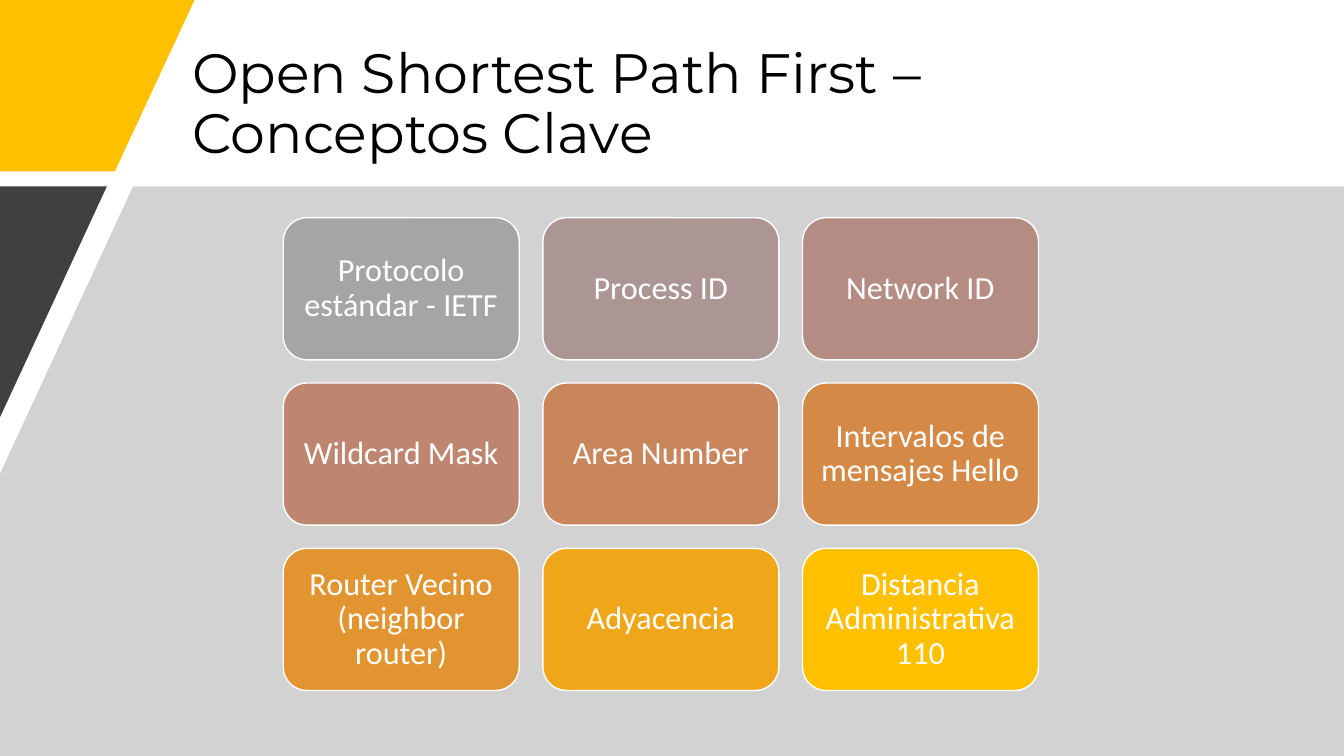
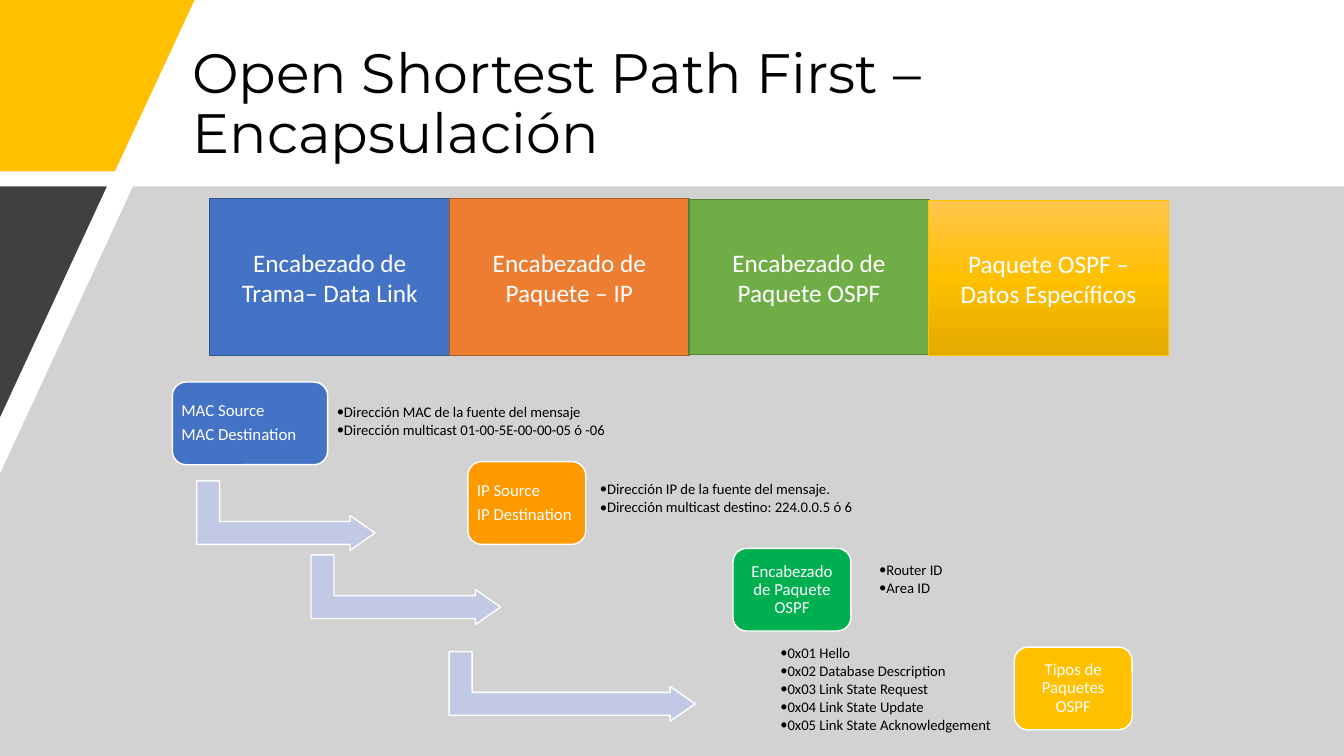
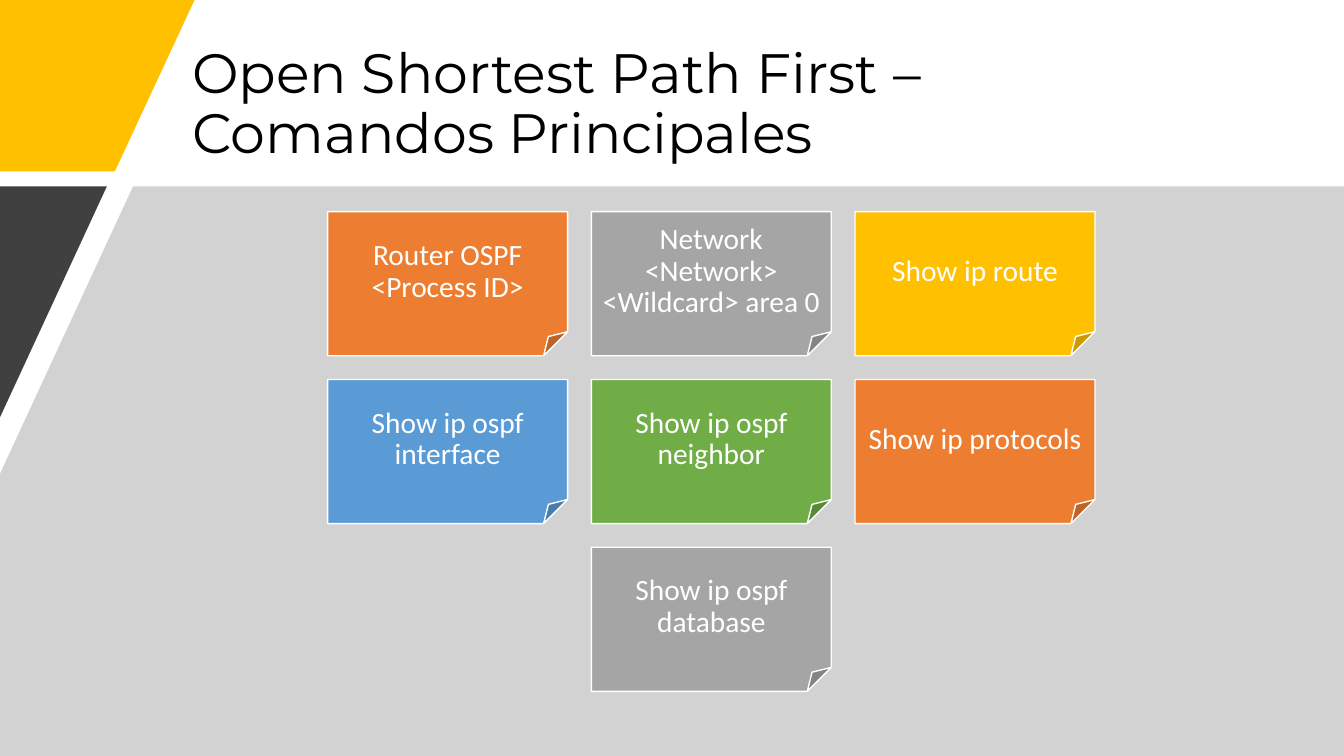
import copy
import pptx
import pptx.util
import pptx.dml.color
import pptx.enum.shapes
import pptx.enum.text
import pptx.oxml.ns
import lxml.etree

Inches, Pt = pptx.util.Inches, pptx.util.Pt
KIND = pptx.enum.shapes.MSO_SHAPE
ALIGN = pptx.enum.text.PP_ALIGN
qn = pptx.oxml.ns.qn

# Shared look
WHITE, BLACK, GOLD = "FFFFFF", "000000", "FFC000"
TOPIC = "Open Shortest Path First – "
BANDS = [  # colour, opacity in percent, corners
    (GOLD, 100, [(0, 0), (1.93, 0), (1.14, 1.7), (0, 1.7)]),
    ("A6A6A6", 50, [(1.32, 1.85), (13.33, 1.85), (13.33, 7.5), (0, 7.5), (0, 4.7)]),
    ("404040", 100, [(0, 1.85), (1.06, 1.85), (0, 4.14)]),
]

# Slide 1: key concepts
IDEAS = [
    ("Protocolo estándar - IETF", "A5A5A5"),
    ("Process ID", "AC9694"),
    ("Network ID", "B48C83"),
    ("Wildcard Mask", "BE8670"),
    ("Area Number", "C9855C"),
    ("Intervalos de mensajes Hello", "D48947"),
    ("Router Vecino (neighbor router)", "E19430"),
    ("Adyacencia", "F0A619"),
    ("Distancia Administrativa 110", GOLD),
]

# Slide 2: encapsulation
HEADS = [  # text, fill, line, line width, top, height
    ("Encabezado de Trama– Data Link", "4472C4", "325491", 1, 1.97, 1.56),
    ("Encabezado de Paquete – IP", "ED7D31", "AF5C24", 1, 1.97, 1.56),
    ("Encabezado de Paquete OSPF", "70AD47", "538035", 1, 1.98, 1.54),
    ("Paquete OSPF – Datos Específicos", GOLD, GOLD, 0.5, 1.99, 1.54),
]
BLEND = [(0, "FFC64B"), (0.5, GOLD), (1, "E3AB00")]
ARROWS = [(2.49, 4.23, 1.77), (3.68, 4.91, 1.88), (5.33, 5.59, 2.44)]
STEPS = [  # lines, fill, alignment, card left, top, width
    (["MAC Source", "MAC Destination"], "4472C4", ALIGN.LEFT, 1.71, 3.79, 1.54),
    (["IP Source", "IP Destination"], "FF9900", ALIGN.LEFT, 4.64, 4.58, 1.17),
    (["Encabezado de Paquete OSPF"], "00B050", ALIGN.CENTER, 7.27, 5.44, 1.17),
    (["Tipos de Paquetes OSPF"], GOLD, ALIGN.CENTER, 10.06, 6.42, 1.17),
]
NOTES = [  # lines, left, top, width
    (["Dirección MAC de la fuente del mensaje",
      "Dirección multicast 01-00-5E-00-00-05 ó -06"], 3.29, 3.85, 3.51),
    (["Dirección IP de la fuente del mensaje.",
      "Dirección multicast destino: 224.0.0.5 ó 6"], 5.9, 4.62, 3.31),
    (["Router ID", "Area ID"], 8.67, 5.42, 0.85),
    (["0x01 Hello", "0x02 Database Description", "0x03 Link State Request",
      "0x04 Link State Update", "0x05 Link State Acknowledgement"], 7.69, 6.51, 2.7),
]

# Slide 3: main commands, with the grid cell of each
ORDERS = [
    ("Router OSPF <Process ID>", "ED7D31", 0),
    ("Network <Network> <Wildcard> area 0", "A5A5A5", 1),
    ("Show ip route", GOLD, 2),
    ("Show ip ospf interface", "5B9BD5", 3),
    ("Show ip ospf neighbor", "70AD47", 4),
    ("Show ip protocols", "ED7D31", 5),
    ("Show ip ospf database", "A5A5A5", 7),
]


def rgb(code):
    return pptx.dml.color.RGBColor.from_string(code)


def write(shape, lines, size, color=WHITE, font="Calibri", align=ALIGN.CENTER,
          inset=None, space=0.9, after=0, bullet=False):
    frame = shape.text_frame
    frame.word_wrap = True
    frame.vertical_anchor = pptx.enum.text.MSO_ANCHOR.MIDDLE
    if inset is not None:
        frame.margin_left = frame.margin_right = Inches(inset)
        frame.margin_top = frame.margin_bottom = Inches(inset)
    frame.text = "\n".join(lines)
    for par in frame.paragraphs:
        par.alignment = align
        par.line_spacing = space
        par.space_after = Pt(size * after)
        for run in par.runs:
            run.font.size = Pt(size)
            run.font.name = font
            run.font.color.rgb = rgb(color)
        if bullet:
            props = par._p.get_or_add_pPr()
            props.set("marL", str(Inches(0.06)))
            props.set("indent", str(-Inches(0.06)))
            lxml.etree.SubElement(props, qn("a:buFont")).set("typeface", font)
            lxml.etree.SubElement(props, qn("a:buChar")).set("char", "•")


def draw(slide, kind, box, fill, line=WHITE, width=1):
    shape = slide.shapes.add_shape(kind, *map(Inches, box))
    shape.shadow.inherit = False
    shape.fill.solid()
    shape.fill.fore_color.rgb = rgb(fill)
    shape.line.color.rgb = rgb(line)
    shape.line.width = Pt(width)
    return shape


def label(slide, box):
    return slide.shapes.add_textbox(*map(Inches, box))


def grid(first, last, size, cell):
    row, col = divmod(cell, 3)
    left, top = [a + (b - a) * step / 2
                 for a, b, step in zip(first, last, (col, row))]
    return left, top, *size


def blend(shape, stops):
    shape.fill.gradient()
    shape.fill.gradient_angle = 270
    items = shape._element.spPr.find(".//" + qn("a:gsLst"))
    items.append(copy.deepcopy(items[-1]))
    for stop, (place, color) in zip(shape.fill.gradient_stops, stops):
        stop.position = place
        stop.color.rgb = rgb(color)


def start(deck, title):
    slide = deck.slides.add_slide(deck.slide_layouts[6])
    write(label(slide, (1.81, 0.4, 10.24, 1.3)), [TOPIC + title], 39.6,
          BLACK, "Montserrat", ALIGN.LEFT)
    for color, solid, spots in BANDS:
        spots = [(Inches(x), Inches(y)) for x, y in spots]
        pen = slide.shapes.build_freeform(*spots[0])
        pen.add_line_segments(spots[1:], close=True)
        band = pen.convert_to_shape()
        band.shadow.inherit = False
        band.fill.solid()
        band.fill.fore_color.rgb = rgb(color)
        band.line.fill.background()
        if solid < 100:
            tint = band._element.spPr.find(".//" + qn("a:srgbClr"))
            lxml.etree.SubElement(tint, qn("a:alpha")).set("val", str(solid * 1000))
    return slide


deck = pptx.Presentation()
deck.slide_width, deck.slide_height = Inches(13.33), Inches(7.5)

# Key concepts
slide = start(deck, "Conceptos Clave")
for cell, (text, fill) in enumerate(IDEAS):
    card = draw(slide, KIND.ROUNDED_RECTANGLE,
                grid((2.81, 2.16), (7.96, 5.44), (2.34, 1.41), cell), fill)
    write(card, [text], 23, inset=0.1, after=0.35)

# Encapsulation
slide = start(deck, "Encapsulación")
pitch = (9.21 - 2.08) / 3
for col, (text, fill, line, width, top, high) in enumerate(HEADS):
    head = draw(slide, KIND.RECTANGLE, (2.08 + col * pitch, top, 2.38, high),
                fill, line, width)
    write(head, [text], 18, space=1)
blend(head, BLEND)
for left, top, reach in ARROWS:
    arrow = draw(slide, KIND.BENT_UP_ARROW, (left, top, 0.69, reach), "C1C9E4")
    arrow.rotation = 90
    for spot, value in enumerate((0.33, 0.25, 0.36)):
        arrow.adjustments[spot] = value
for lines, fill, align, left, top, wide in STEPS:
    card = draw(slide, KIND.ROUNDED_RECTANGLE, (left, top, wide, 0.82), fill)
    write(card, lines, 12, align=align, inset=0.05, after=0.35)
for lines, left, top, wide in NOTES:
    write(label(slide, (left, top, wide, 0.66)), lines, 10.5, BLACK,
          align=ALIGN.LEFT, inset=0.05, after=0.15, bullet=True)

# Main commands
slide = start(deck, "Comandos Principales")
for text, fill, cell in ORDERS:
    card = draw(slide, KIND.FOLDED_CORNER,
                grid((3.25, 2.1), (8.48, 5.43), (2.38, 1.43), cell), fill)
    write(card, [text], 21, inset=0.09, after=0.35)

deck.save("out.pptx")
